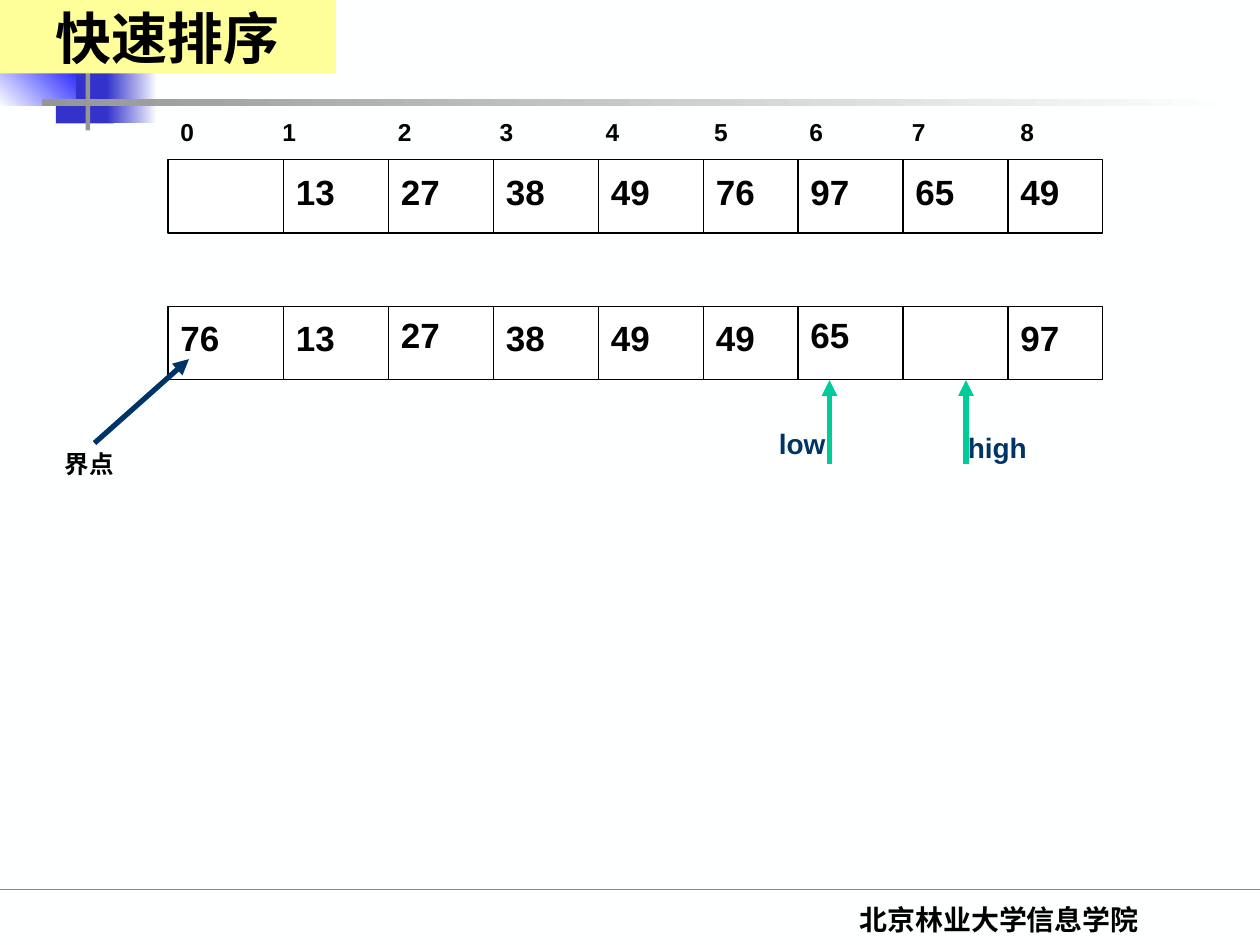
from lxml import etree
from pptx import Presentation
from pptx.dml.color import RGBColor
from pptx.enum import shapes, text
from pptx.oxml import ns
from pptx.util import Pt

BLACK = RGBColor(0x00, 0x00, 0x00)
WHITE = RGBColor(0xFF, 0xFF, 0xFF)
PAPER = RGBColor(0xFE, 0xFF, 0xFF)
YELLOW = RGBColor(0xFF, 0xFF, 0x99)
GREEN = RGBColor(0x00, 0xCC, 0x99)
NAVY = RGBColor(0x00, 0x33, 0x66)
INDIGO = RGBColor(0x33, 0x33, 0xCC)
BLUE = RGBColor(0x00, 0x00, 0xFF)
GRAY = RGBColor(0x96, 0x96, 0x96)

COLUMN_OFFSETS = [0, 66, 126, 186, 246, 306, 360, 420, 480]
INDEX_STOPS = [58.3, 124.3, 182.5, 243, 305, 359.5, 418, 480]
FIRST_ROW = ["", "13", "27", "38", "49", "76", "97", "65", "49"]
SECOND_ROW = ["76", "13", "27", "38", "49", "49", "65", "", "97"]


def add_line(page, start, end, color, width, arrow=False):
    line = page.shapes.add_connector(
        shapes.MSO_CONNECTOR.STRAIGHT, *(Pt(value) for value in start + end))
    line.line.color.rgb = color
    line.line.width = Pt(width)
    if arrow:
        outline = line.line._get_or_add_ln()
        etree.SubElement(outline, ns.qn("a:tailEnd"), type="triangle")
    etree.SubElement(line._element.spPr, ns.qn("a:effectLst"))


def add_block(page, box, colors, angle=0):
    block = page.shapes.add_shape(
        shapes.MSO_SHAPE.RECTANGLE, *(Pt(value) for value in box))
    block.shadow.inherit = False
    block.line.fill.background()
    if len(colors) == 1:
        block.fill.solid()
        block.fill.fore_color.rgb = colors[0]
    else:
        block.fill.gradient()
        block.fill.gradient_angle = angle
        for stop, color in zip(block.fill.gradient_stops, colors):
            stop.color.rgb = color
    return block


def format_text(paragraph, size, color=BLACK, name="Arial"):
    for span in paragraph.runs:
        span.font.size = Pt(size)
        span.font.bold = True
        span.font.name = name
        span.font.color.rgb = color


def add_label(page, box, words, size, color=BLACK, name="Arial", top_margin=3.6):
    label = page.shapes.add_textbox(*(Pt(value) for value in box))
    frame = label.text_frame
    frame.word_wrap = True
    frame.margin_top = Pt(top_margin)
    frame.text = words
    format_text(frame.paragraphs[0], size, color, name)
    return frame.paragraphs[0]


def draw_decoration(page, left, top):
    blocks = [
        ((32, 33, 33, 37.5), [INDIGO], 0),
        ((61, 33, 29, 37.5), [INDIGO, PAPER], 0),
        ((-0.5, 27.5, 44, 33), [PAPER, BLUE], 45),
        ((49, -8.5, 2.5, 83), [GRAY], 0),
        ((24, 56.5, 684.5, 4), [GRAY, PAPER], 0),
    ]
    for (x, y, width, height), colors, angle in blocks:
        add_block(page, (left + x, top + y, width, height), colors, angle)


def draw_title(page, box):
    title = add_block(page, box, [YELLOW])
    frame = title.text_frame
    frame.vertical_anchor = text.MSO_ANCHOR.MIDDLE
    frame.text = "快速排序"
    frame.paragraphs[0].alignment = text.PP_ALIGN.CENTER
    format_text(frame.paragraphs[0], 32, name="Times New Roman")


def draw_footer(page, left, top, width):
    add_line(page, (left, top), (left + width, top), GREEN, 0.75)
    paragraph = add_label(page, (left + 422, top + 3.5, 298, 36),
                          "北京林业大学信息学院", 16, name="Times New Roman")
    paragraph.alignment = text.PP_ALIGN.CENTER


def draw_indices(page, box):
    paragraph = add_label(page, box, "\t".join(str(i) for i in range(9)), 14,
                          top_margin=5.6)
    properties = paragraph._p.get_or_add_pPr()
    stops = etree.SubElement(properties, ns.qn("a:tabLst"))
    for position in INDEX_STOPS:
        etree.SubElement(stops, ns.qn("a:tab"), pos=str(int(Pt(position))), algn="l")


def draw_array(page, box, values, raised=()):
    left, top, width, height = box
    frame = add_block(page, box, [WHITE])
    frame.line.color.rgb = BLACK
    frame.line.width = Pt(0.75)
    for offset in COLUMN_OFFSETS[1:]:
        x = left + offset
        add_line(page, (x, top), (x, top + height), BLACK, 0.75)
    for column, value in enumerate(values):
        if value:
            margin = 4.4 if column in raised else 6
            add_label(page, (left + COLUMN_OFFSETS[column], top, 48, 32),
                      value, 20, top_margin=margin)


def draw_pointer(page, x, top, name, label_left, label_top):
    add_line(page, (x, top + 48), (x, top), GREEN, 3, arrow=True)
    add_label(page, (label_left, label_top, 66, 26.5), name, 16, NAVY,
              top_margin=4.6)


def draw_pivot(page, left, top):
    add_label(page, (left, top, 60, 24.5), "界点", 14)
    add_line(page, (left + 24, top), (left + 78, top - 48), NAVY, 3, arrow=True)


def main():
    deck = Presentation()
    deck.slide_width, deck.slide_height = Pt(720), Pt(540)
    page = deck.slides.add_slide(deck.slide_layouts[6])
    page.background.fill.solid()
    page.background.fill.fore_color.rgb = PAPER

    draw_decoration(page, 0, 0)
    draw_footer(page, 0, 508.5, 720)
    draw_array(page, (96, 175, 534, 42), SECOND_ROW, raised=(2, 6))
    draw_array(page, (96, 91.2, 534, 42), FIRST_ROW)
    draw_indices(page, (96, 61.2, 534, 24.5))
    draw_pointer(page, 552, 217.2, "high", 546, 241.2)
    draw_pointer(page, 474, 217.2, "low", 438, 239)
    draw_pivot(page, 30, 253.2)
    draw_title(page, (0, 0, 192, 42))
    deck.save("out.pptx")


if __name__ == "__main__":
    main()
